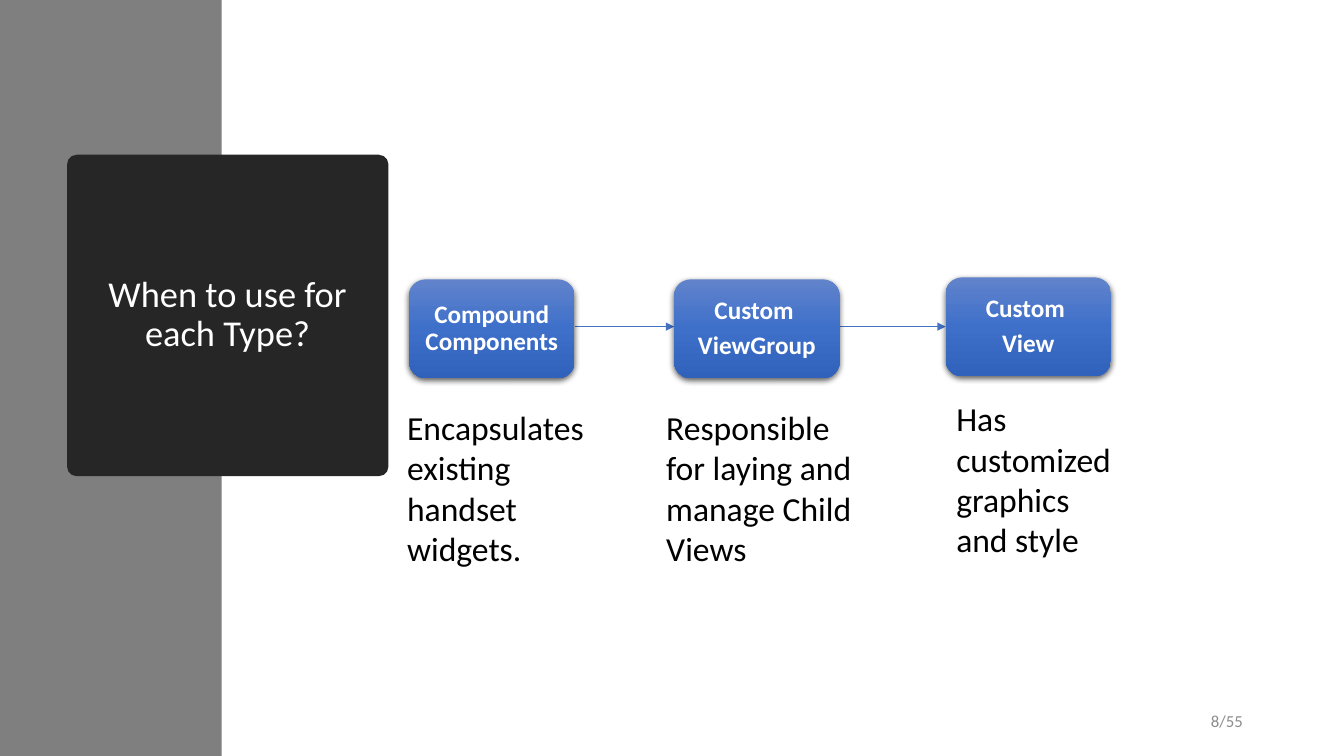
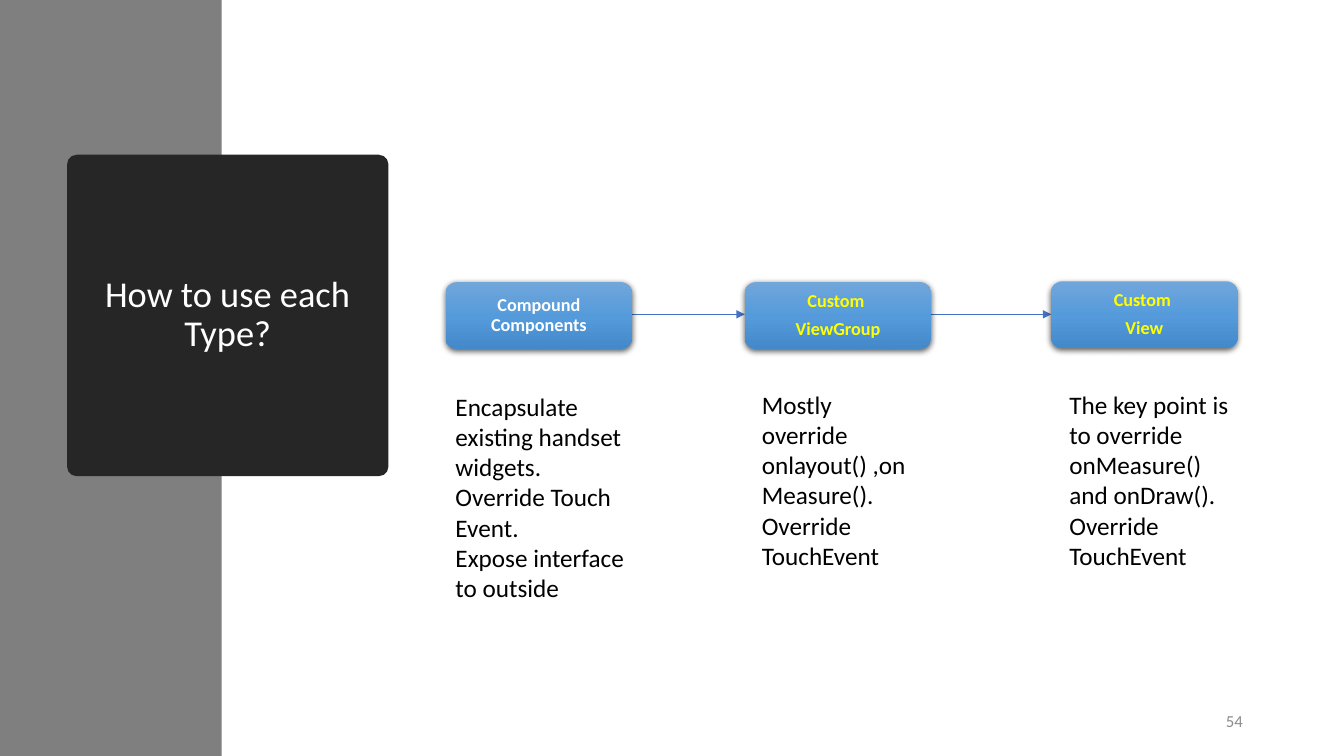
from copy import deepcopy
from dataclasses import dataclass
from itertools import pairwise

from lxml import etree
from pptx import Presentation
from pptx.dml.color import RGBColor
from pptx.enum import shapes, text
from pptx.oxml.ns import qn
from pptx.util import Cm, Pt

# Shared style
FONT = "Calibri"
WHITE = RGBColor(0xFF, 0xFF, 0xFF)
BLACK = RGBColor(0x00, 0x00, 0x00)
YELLOW = RGBColor(0xFF, 0xFF, 0x00)
BAND_GREY = RGBColor(0x7F, 0x7F, 0x7F)
TITLE_DARK = RGBColor(0x26, 0x26, 0x26)
NUMBER_GREY = RGBColor(0x8C, 0x8C, 0x8C)
ARROW_BLUE = RGBColor(0x44, 0x72, 0xC4)
DEEP_BLUES = (RGBColor(0x61, 0x83, 0xCB), RGBColor(0x3E, 0x70, 0xCA), RGBColor(0x30, 0x62, 0xBB))
LIGHT_BLUES = (RGBColor(0x71, 0xA6, 0xDB), RGBColor(0x55, 0x9B, 0xDB), RGBColor(0x44, 0x8A, 0xCA))

SLIDE_W, SLIDE_H = Cm(33.87), Cm(19.05)


@dataclass(frozen=True)
class Area:
    """Left, top, width and height in centimetres."""
    left: float
    top: float
    width: float
    height: float

    def lengths(self) -> tuple:
        return Cm(self.left), Cm(self.top), Cm(self.width), Cm(self.height)


@dataclass(frozen=True)
class ViewType:
    label: str
    left: float
    top: float
    note: str
    note_area: Area
    label_color: RGBColor = WHITE


@dataclass(frozen=True)
class TypesSlide:
    title: str
    number: str
    step_width: float
    step_height: float
    arrow_y: float
    blues: tuple
    label_size: int
    note_size: int
    view_types: tuple


BAND = Area(0, 0, 5.59, 19.05)
TITLE = Area(1.69, 3.9, 8.1, 8.1)
NUMBER = Area(23.95, 17.65, 7.62, 1.02)

SLIDES = (
    TypesSlide(
        "When to use for each Type?", "8/55", 4.17, 2.49, 8.23, DEEP_BLUES, 18, 24,
        (
            ViewType("Compound Components", 10.31, 7.04,
                     "Encapsulates\nexisting handset widgets.", Area(10.01, 10.13, 5.61, 4.37)),
            ViewType("Custom \nViewGroup", 16.99, 7.04,
                     "Responsible for laying and manage Child Views", Area(16.54, 10.13, 5.23, 4.37)),
            ViewType("Custom \nView", 23.83, 6.99,
                     "Has customized graphics and style", Area(23.85, 9.91, 4.47, 4.37)),
        ),
    ),
    TypesSlide(
        "How to use each Type?", "54", 4.7, 1.68, 7.92, LIGHT_BLUES, 13, 18,
        (
            ViewType("Compound Components", 11.23, 7.11,
                     "Encapsulate\nexisting handset widgets.\nOverride Touch Event.\n"
                     "Expose interface\nto outside", Area(11.23, 9.73, 5.08, 6.4)),
            ViewType("Custom \nViewGroup", 18.77, 7.11,
                     "Mostly override onlayout() ,onMeasure().\nOverride TouchEvent",
                     Area(18.95, 9.68, 4.29, 5.64), YELLOW),
            ViewType("Custom \nView", 26.49, 7.09,
                     "The key point is to override onMeasure() and onDraw().\nOverride TouchEvent",
                     Area(26.7, 9.68, 4.8, 5.64), YELLOW),
        ),
    ),
)


def set_text(shape, words: str, size: int, color: RGBColor, align=text.PP_ALIGN.LEFT,
             anchor=text.MSO_ANCHOR.TOP, bold: bool = False,
             spacing: float = 1.0, after: int = 0) -> None:
    frame = shape.text_frame
    frame.text = words
    frame.word_wrap = True
    frame.vertical_anchor = anchor
    for paragraph in frame.paragraphs:
        paragraph.alignment = align
        paragraph.line_spacing = spacing
        paragraph.space_after = Pt(after)
        for run in paragraph.runs:
            run.font.name = FONT
            run.font.size = Pt(size)
            run.font.bold = bold
            run.font.color.rgb = color


def add_block(slide, kind, area: Area, color: RGBColor):
    block = slide.shapes.add_shape(kind, *area.lengths())
    block.shadow.inherit = False
    block.fill.solid()
    block.fill.fore_color.rgb = color
    block.line.fill.background()
    return block


def add_text(slide, area: Area, words: str, size: int, color: RGBColor, **style) -> None:
    set_text(slide.shapes.add_textbox(*area.lengths()), words, size, color, **style)


def fill_gradient(shape, colors: tuple) -> None:
    shape.fill.gradient()
    shape.fill.gradient_angle = 270
    stop_list = shape._element.spPr.find(qn("a:gradFill")).find(qn("a:gsLst"))
    stop_list.insert(1, deepcopy(stop_list[0]))
    for index, (stop, color) in enumerate(zip(shape.fill.gradient_stops, colors)):
        stop.position = index / (len(colors) - 1)
        stop.color.rgb = color


def add_shadow(shape) -> None:
    effects = shape._element.spPr.find(qn("a:effectLst"))
    shadow = etree.SubElement(effects, qn("a:outerShdw"), blurRad=str(Pt(4.5)),
                              dist=str(Pt(1.5)), dir="5400000", algn="ctr", rotWithShape="0")
    black = etree.SubElement(shadow, qn("a:srgbClr"), val=str(BLACK))
    etree.SubElement(black, qn("a:alpha"), val="63000")


def add_step(slide, page: TypesSlide, view_type: ViewType) -> None:
    area = Area(view_type.left, view_type.top, page.step_width, page.step_height)
    step = add_block(slide, shapes.MSO_SHAPE.ROUNDED_RECTANGLE, area, page.blues[1])
    fill_gradient(step, page.blues)
    add_shadow(step)
    set_text(step, view_type.label, page.label_size, view_type.label_color,
             align=text.PP_ALIGN.CENTER, anchor=text.MSO_ANCHOR.MIDDLE,
             bold=True, spacing=0.9, after=6)


def add_arrow(slide, start: float, end: float, y: float) -> None:
    arrow = slide.shapes.add_connector(shapes.MSO_CONNECTOR.STRAIGHT,
                                       Cm(start), Cm(y), Cm(end), Cm(y))
    arrow.line.color.rgb = ARROW_BLUE
    arrow.line.width = Pt(0.5)
    etree.SubElement(arrow.line._get_or_add_ln(), qn("a:tailEnd"), type="triangle")
    etree.SubElement(arrow._element.spPr, qn("a:effectLst"))


def add_frame(slide, page: TypesSlide) -> None:
    # Side band, title block and slide number
    add_block(slide, shapes.MSO_SHAPE.RECTANGLE, BAND, BAND_GREY)
    title = add_block(slide, shapes.MSO_SHAPE.ROUNDED_RECTANGLE, TITLE, TITLE_DARK)
    title.adjustments[0] = 0.03
    set_text(title, page.title, 26, WHITE, align=text.PP_ALIGN.CENTER,
             anchor=text.MSO_ANCHOR.MIDDLE, spacing=0.9)
    add_text(slide, NUMBER, page.number, 12, NUMBER_GREY,
             align=text.PP_ALIGN.RIGHT, anchor=text.MSO_ANCHOR.MIDDLE)


def build_slide(deck, page: TypesSlide) -> None:
    slide = deck.slides.add_slide(deck.slide_layouts[6])
    add_frame(slide, page)

    # Arrows between neighbouring steps
    for before, following in pairwise(page.view_types):
        add_arrow(slide, before.left + page.step_width, following.left, page.arrow_y)

    # Steps with their notes
    for view_type in page.view_types:
        add_step(slide, page, view_type)
        add_text(slide, view_type.note_area, view_type.note, page.note_size, BLACK)


def main() -> None:
    deck = Presentation()
    deck.slide_width, deck.slide_height = SLIDE_W, SLIDE_H
    for page in SLIDES:
        build_slide(deck, page)
    deck.save("out.pptx")


if __name__ == "__main__":
    main()
